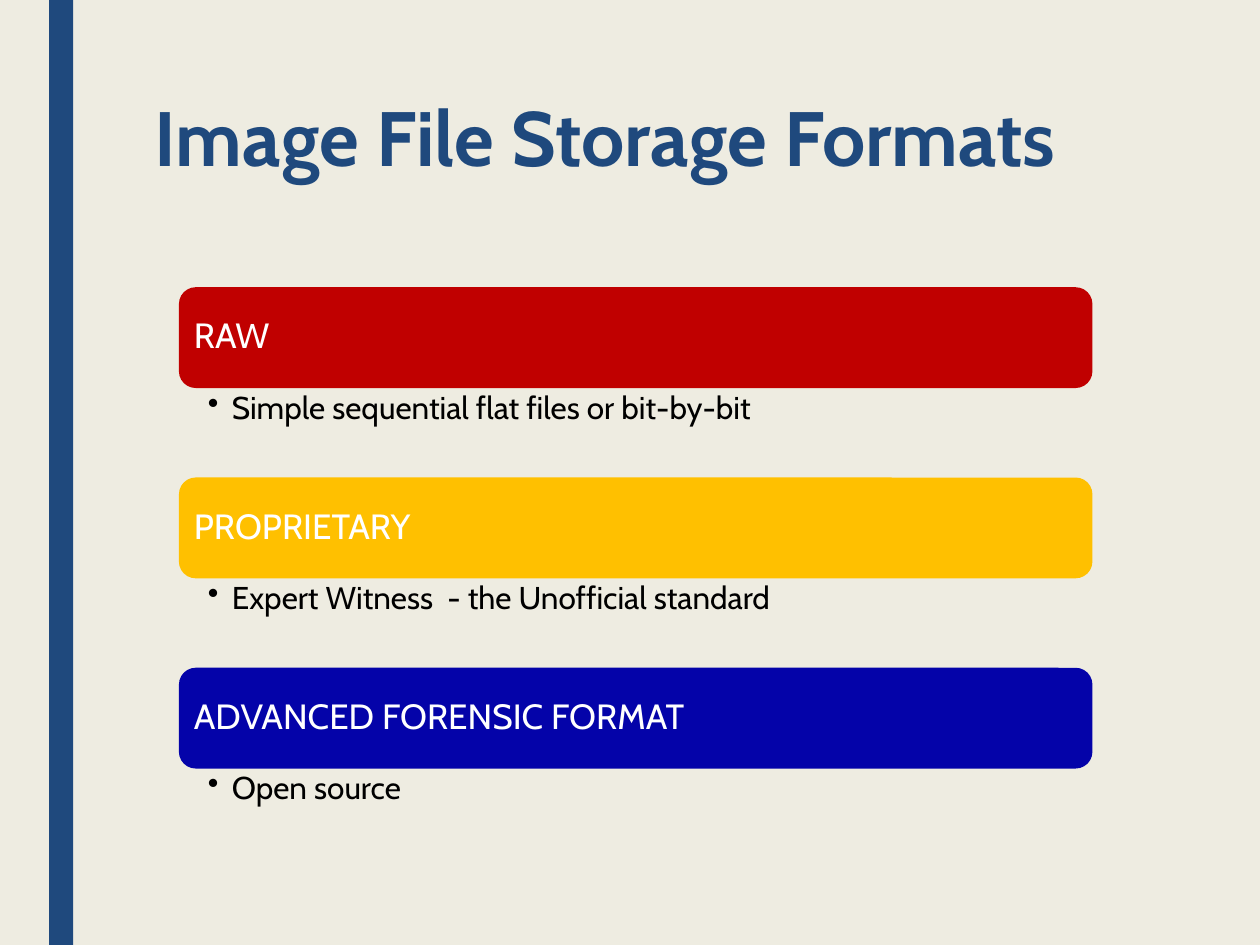
import pptx
import pptx.dml.color
import pptx.enum.shapes
import pptx.enum.text
import pptx.util
import lxml.etree
import pptx.oxml.ns

Inches = pptx.util.Inches
RGBColor = pptx.dml.color.RGBColor
Anchor = pptx.enum.text.MSO_ANCHOR
Align = pptx.enum.text.PP_ALIGN
Shape = pptx.enum.shapes.MSO_SHAPE

CREAM = RGBColor(0xEE, 0xEC, 0xE1)
NAVY = RGBColor(0x1F, 0x49, 0x7D)
RED = RGBColor(0xC0, 0x00, 0x00)
AMBER = RGBColor(0xFF, 0xC0, 0x00)
BLUE = RGBColor(0x04, 0x03, 0xA9)
WHITE = RGBColor(0xFF, 0xFF, 0xFF)
BLACK = RGBColor(0x00, 0x00, 0x00)

FORMATS = [
    ("RAW", "Simple sequential flat files or bit-by-bit", RED),
    ("PROPRIETARY", "Expert Witness  - the Unofficial standard", AMBER),
    ("ADVANCED FORENSIC FORMAT", "Open source", BLUE),
]
LEFT, TOP, WIDTH = 1.42, 2.28, 7.25
BAR_HEIGHT, DETAIL_HEIGHT = 0.8, 0.71


def write(box, text, size, color, margins, anchor, spacing, bold=False):
    frame = box.text_frame
    frame.word_wrap = True
    frame.auto_size = pptx.enum.text.MSO_AUTO_SIZE.NONE
    frame.vertical_anchor = anchor
    frame.margin_left, frame.margin_top, frame.margin_right, frame.margin_bottom = map(Inches, margins)
    para = frame.paragraphs[0]
    para.alignment = Align.LEFT
    para.line_spacing = spacing
    span = para.add_run()
    span.text = text
    span.font.name = "Cabin"
    span.font.size = pptx.util.Pt(size)
    span.font.bold = bold
    span.font.color.rgb = color
    return para


def add_block(page, kind, left, top, width, height, color):
    block = page.shapes.add_shape(kind, Inches(left), Inches(top), Inches(width), Inches(height))
    block.shadow.inherit = False
    block.fill.solid()
    block.fill.fore_color.rgb = color
    block.line.fill.background()
    return block


deck = pptx.Presentation()
deck.slide_width, deck.slide_height = Inches(10), Inches(7.5)
page = deck.slides.add_slide(deck.slide_layouts[5])
page.background.fill.solid()
page.background.fill.fore_color.rgb = CREAM

add_block(page, Shape.RECTANGLE, 0.39, 0, 0.19, 7.5, NAVY)

title = page.shapes.title
title.left, title.top, title.width, title.height = map(Inches, (1.13, 0.75, 7.53, 0.84))
write(title, "Image File Storage Formats", 44, NAVY, (0.1, 0.05, 0.1, 0.05), Anchor.TOP, 0.89, bold=True)

for index, (name, detail, color) in enumerate(FORMATS):
    top = TOP + index * (BAR_HEIGHT + DETAIL_HEIGHT)
    bar = add_block(page, Shape.ROUNDED_RECTANGLE, LEFT, top, WIDTH, BAR_HEIGHT, color)
    write(bar, name, 20, WHITE, (0.08, 0.08, 0.08, 0.08), Anchor.MIDDLE, 0.9)

    box = page.shapes.add_textbox(
        Inches(LEFT), Inches(top + BAR_HEIGHT), Inches(WIDTH), Inches(DETAIL_HEIGHT)
    )
    para = write(box, detail, 18, BLACK, (0.23, 0.03, 0.14, 0.03), Anchor.TOP, 0.9)
    properties = para._p.get_or_add_pPr()
    properties.set("marL", str(Inches(0.19)))
    properties.set("indent", str(Inches(-0.19)))
    bullet = lxml.etree.SubElement(properties, pptx.oxml.ns.qn("a:buChar"))
    bullet.set("char", "•")

deck.save("out.pptx")
